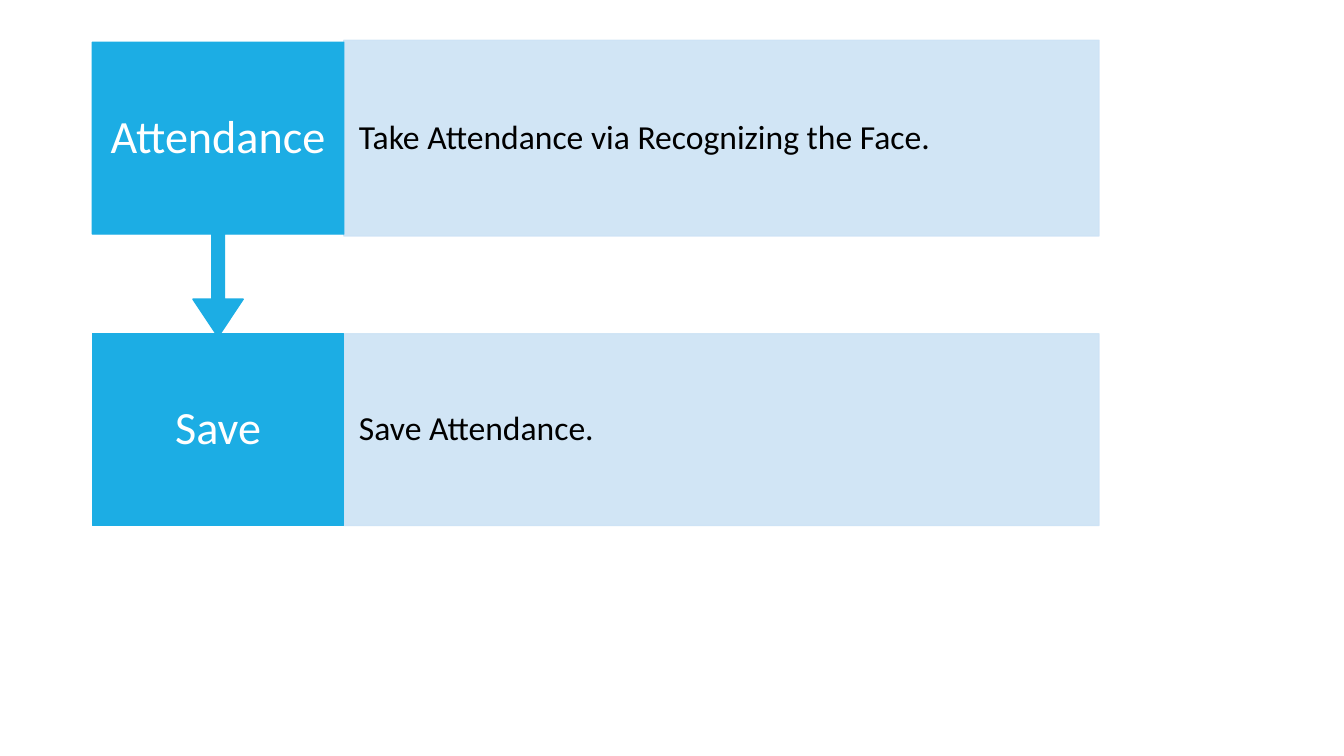
from lxml.etree import SubElement
from pptx import Presentation
from pptx.dml.color import RGBColor
from pptx.enum.shapes import MSO_SHAPE
from pptx.enum.text import MSO_ANCHOR, PP_ALIGN
from pptx.oxml.ns import qn
from pptx.util import Pt

BLUE, PALE = "1CADE4", "CDE3F5"


def color(hex_code):
    """Return the colour for a hex string."""
    return RGBColor.from_string(hex_code)


def add_block(s, kind, box, fill, opacity=100):
    """Add a filled and outlined shape in the given box."""
    sp = s.shapes.add_shape(kind, *[Pt(v) for v in box])
    sp.shadow.inherit = False
    sp.fill.solid()
    sp.fill.fore_color.rgb = color(fill)
    sp.line.color.rgb = color(fill)
    sp.line.width = Pt(1)
    if opacity < 100:
        for clr in sp._element.spPr.iter(qn("a:srgbClr")):
            SubElement(clr, qn("a:alpha"), val=str(opacity * 1000))
    return sp


def write(sp, text, size, font_color, align, margins):
    """Write one vertically centred paragraph into a shape."""
    tf = sp.text_frame
    tf.word_wrap = True
    tf.vertical_anchor = MSO_ANCHOR.MIDDLE
    tf.margin_left = tf.margin_right = Pt(margins[0])
    tf.margin_top = tf.margin_bottom = Pt(margins[1])
    p = tf.paragraphs[0]
    p.alignment = align
    p.line_spacing = 0.9
    r = p.add_run()
    r.text = text
    r.font.name = "Calibri"
    r.font.size = Pt(size)
    r.font.color.rgb = color(font_color)


def add_step(s, box, name, detail, arrow=0, overhang=0):
    """Add a step label, with an optional arrow below, and its detail panel."""
    left, top, width, height = box
    label_width = 179.6
    panel = add_block(s, MSO_SHAPE.RECTANGLE,
                      (left + label_width, top - overhang, width - label_width, height + 2 * overhang),
                      PALE, 90)
    write(panel, detail, 24, "000000", PP_ALIGN.LEFT, (10.8, 24))
    kind = MSO_SHAPE.DOWN_ARROW_CALLOUT if arrow else MSO_SHAPE.RECTANGLE
    label = add_block(s, kind, (left, top, label_width, height + arrow), BLUE)
    if arrow:
        for i, value in enumerate((0.05, 0.1, 0.15, height / (height + arrow))):
            label.adjustments[i] = value
    write(label, name, 33, "FFFFFF", PP_ALIGN.CENTER, (12.8, 18.5))


def main():
    """Build the slide with its two steps and save it."""
    prs = Presentation()
    prs.slide_width, prs.slide_height = Pt(960), Pt(540)
    s = prs.slides.add_slide(prs.slide_layouts[6])
    left, width, height = 66, 719, 137
    add_step(s, (left, 238.4, width, height), "Save", "Save Attendance.")
    add_step(s, (left, 30.2, width, height), "Attendance",
             "Take Attendance via Recognizing the Face.", arrow=73.5, overhang=1.4)
    prs.save("out.pptx")


if __name__ == "__main__":
    main()
